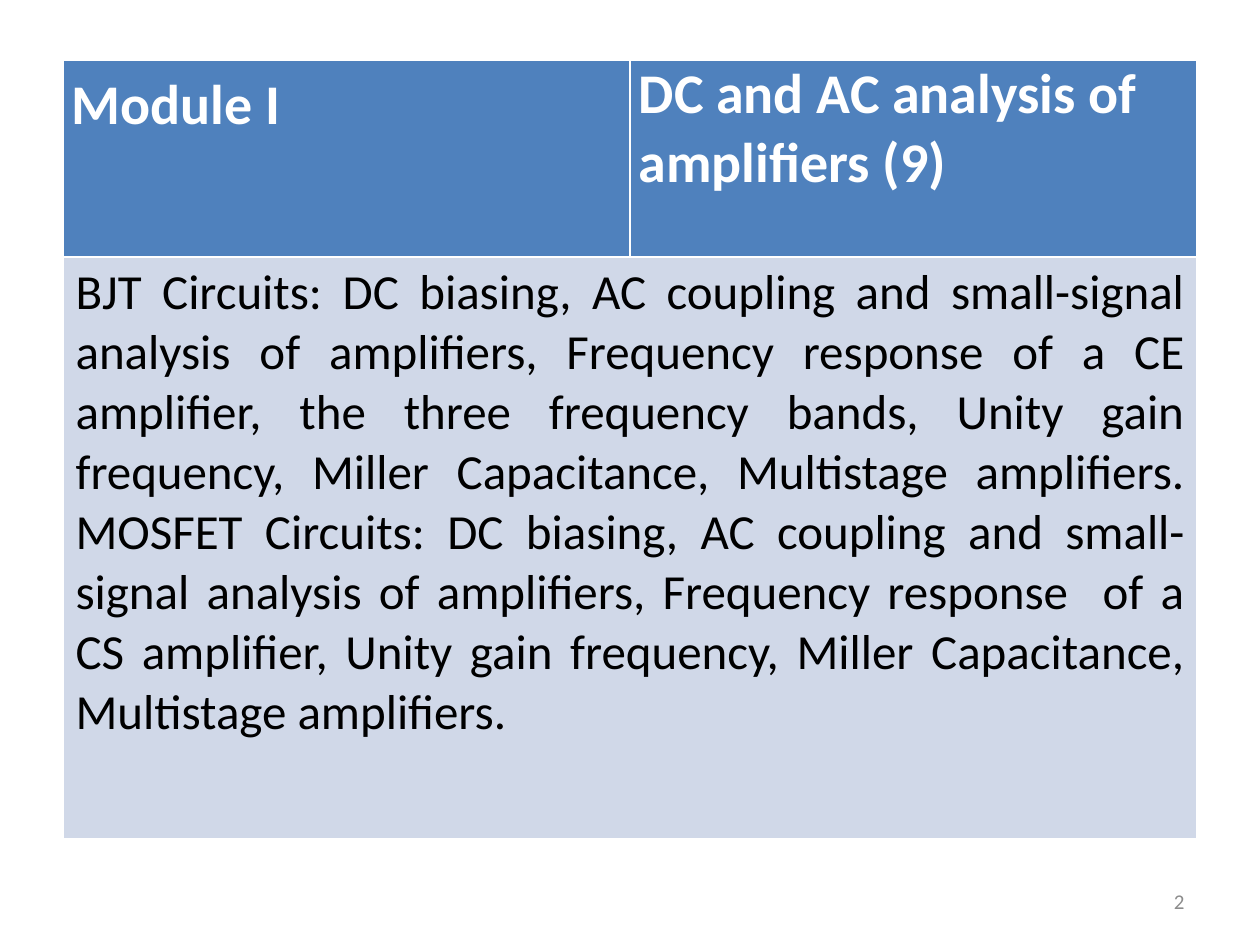
from lxml.etree import SubElement
from pptx import Presentation
from pptx.dml.color import RGBColor
from pptx.enum.text import MSO_ANCHOR, PP_ALIGN
from pptx.oxml.ns import qn
from pptx.util import Inches, Pt

WHITE = RGBColor(0xFF, 0xFF, 0xFF)
BLACK = RGBColor(0, 0, 0)
HEADER_BLUE = RGBColor(0x4F, 0x81, 0xBD)
BODY_BLUE = RGBColor(0xD0, 0xD8, 0xE8)
NUMBER_GREY = RGBColor(0x8C, 0x8C, 0x8C)

HEADINGS = [("Module I", 1.15), ("DC and AC analysis of amplifiers (9)", 1.0)]
SYLLABUS = (
    "BJT Circuits: DC biasing, AC coupling and small-signal analysis of amplifiers, "
    "Frequency response of a CE amplifier, the three frequency bands, "
    "Unity gain frequency, Miller Capacitance, Multistage amplifiers. "
    "MOSFET Circuits: DC biasing, AC coupling and small-signal analysis of amplifiers, "
    "Frequency response  of a CS amplifier, Unity gain frequency, "
    "Miller Capacitance, Multistage amplifiers."
)


def write_text(frame, text, *, size, color, bold=False, align=PP_ALIGN.LEFT, spacing=1.0):
    paragraph = frame.paragraphs[0]
    paragraph.alignment = align
    paragraph.line_spacing = spacing
    run = paragraph.add_run()
    run.text = text
    run.font.name = "Calibri"
    run.font.size = Pt(size)
    run.font.bold = bold
    run.font.color.rgb = color


def style_cell(cell, fill_color):
    """Give the cell thin white borders and a solid fill."""
    properties = cell._tc.get_or_add_tcPr()
    for side in ("a:lnL", "a:lnR", "a:lnT", "a:lnB"):
        border = SubElement(properties, qn(side), w=str(Pt(1)))
        border_fill = SubElement(border, qn("a:solidFill"))
        SubElement(border_fill, qn("a:srgbClr"), val=str(WHITE))
    cell.fill.solid()
    cell.fill.fore_color.rgb = fill_color


def add_module_table(slide, left, top, width, header_height, body_height):
    table = slide.shapes.add_table(
        2, 2, left, top, width, header_height + body_height
    ).table
    table.rows[0].height = header_height
    table.rows[1].height = body_height

    for column, (heading, spacing) in enumerate(HEADINGS):
        cell = table.cell(0, column)
        style_cell(cell, HEADER_BLUE)
        cell.margin_left = cell.margin_right = Inches(0.07)
        cell.margin_top = cell.margin_bottom = 0
        write_text(cell.text_frame, heading, size=32, color=WHITE, bold=True,
                   spacing=spacing)

    syllabus_cell = table.cell(1, 0)
    syllabus_cell.merge(table.cell(1, 1))
    for cell in table.rows[1].cells:
        style_cell(cell, BODY_BLUE)
    write_text(syllabus_cell.text_frame, SYLLABUS, size=28, color=BLACK,
               align=PP_ALIGN.JUSTIFY)


def add_slide_number(slide, left, top, width, height):
    frame = slide.shapes.add_textbox(left, top, width, height).text_frame
    frame.word_wrap = True
    frame.vertical_anchor = MSO_ANCHOR.MIDDLE
    write_text(frame, "2", size=12, color=NUMBER_GREY, align=PP_ALIGN.RIGHT)


def main():
    presentation = Presentation()
    presentation.slide_width = Inches(10)
    presentation.slide_height = Inches(7.5)
    slide = presentation.slides.add_slide(presentation.slide_layouts[6])
    add_module_table(slide, Inches(0.5), Inches(0.48), Inches(9),
                     Inches(1.56), Inches(4.62))
    add_slide_number(slide, Inches(7.17), Inches(6.95), Inches(2.33), Inches(0.4))
    presentation.save("out.pptx")


if __name__ == "__main__":
    main()
